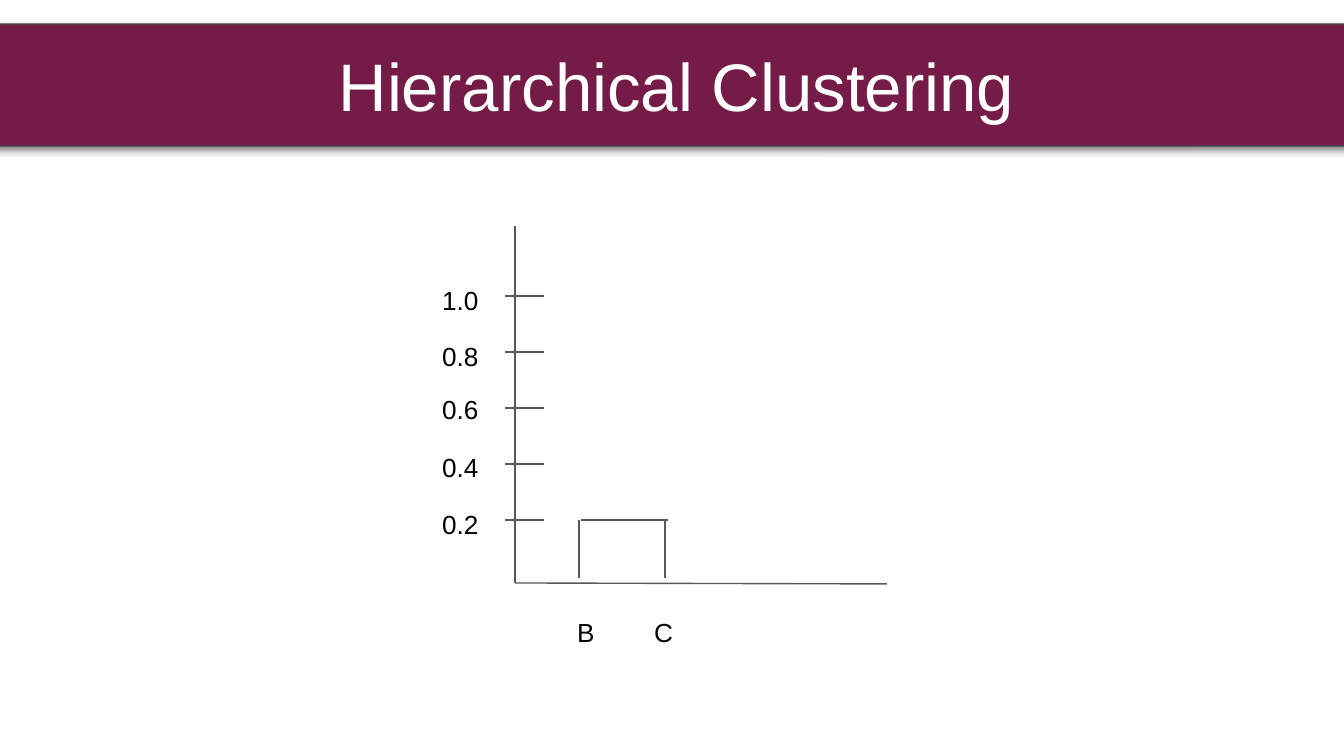
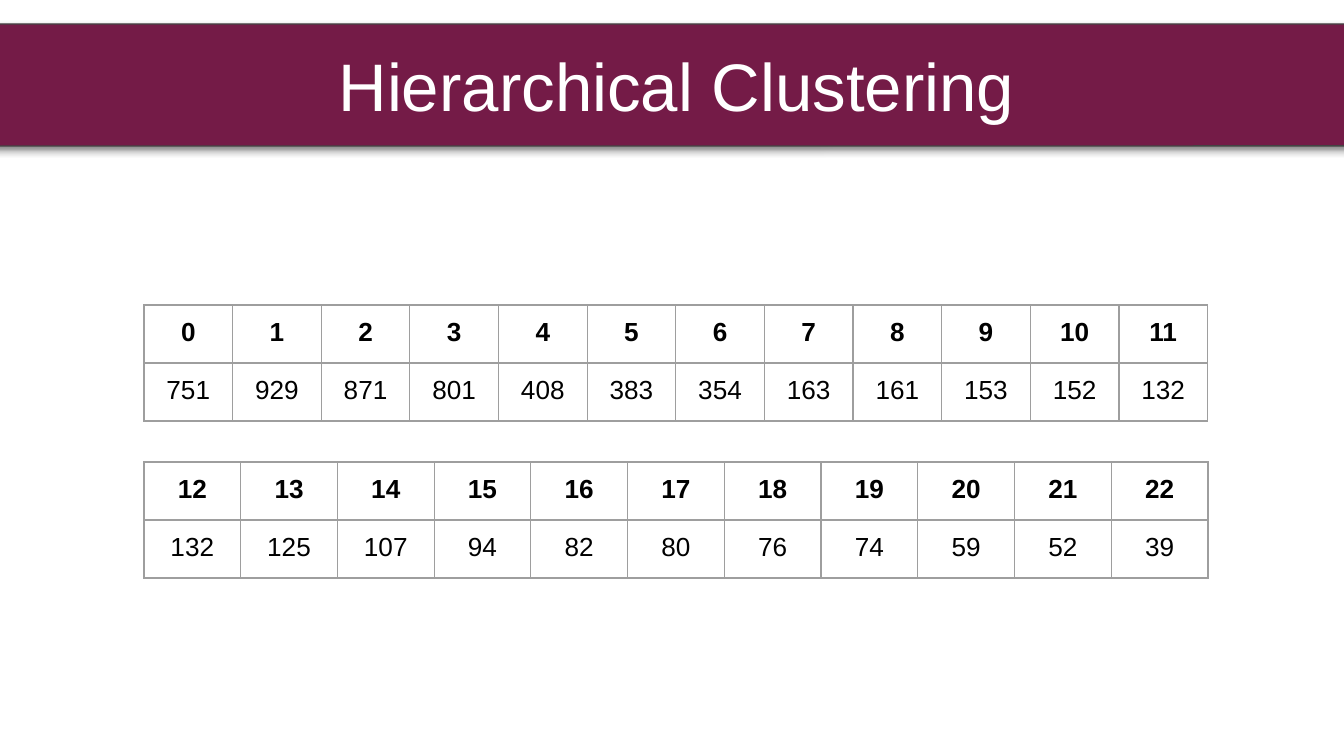
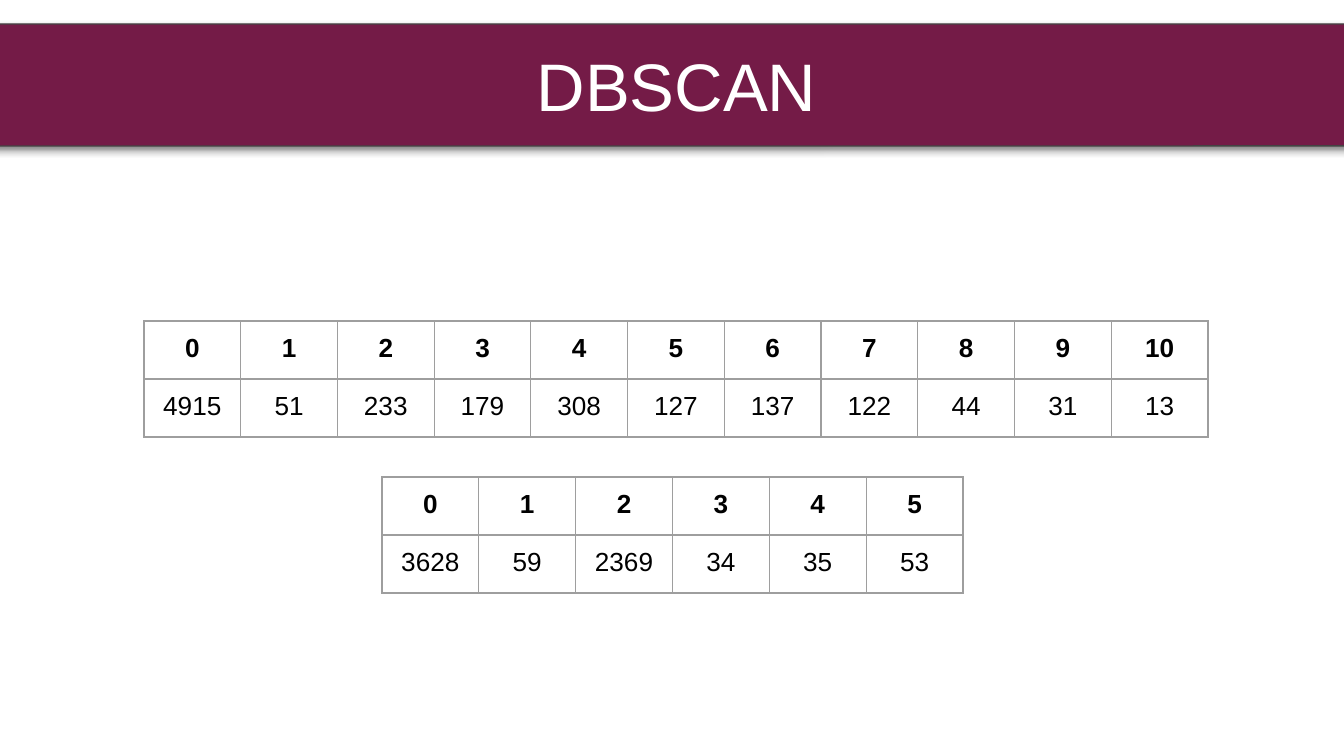
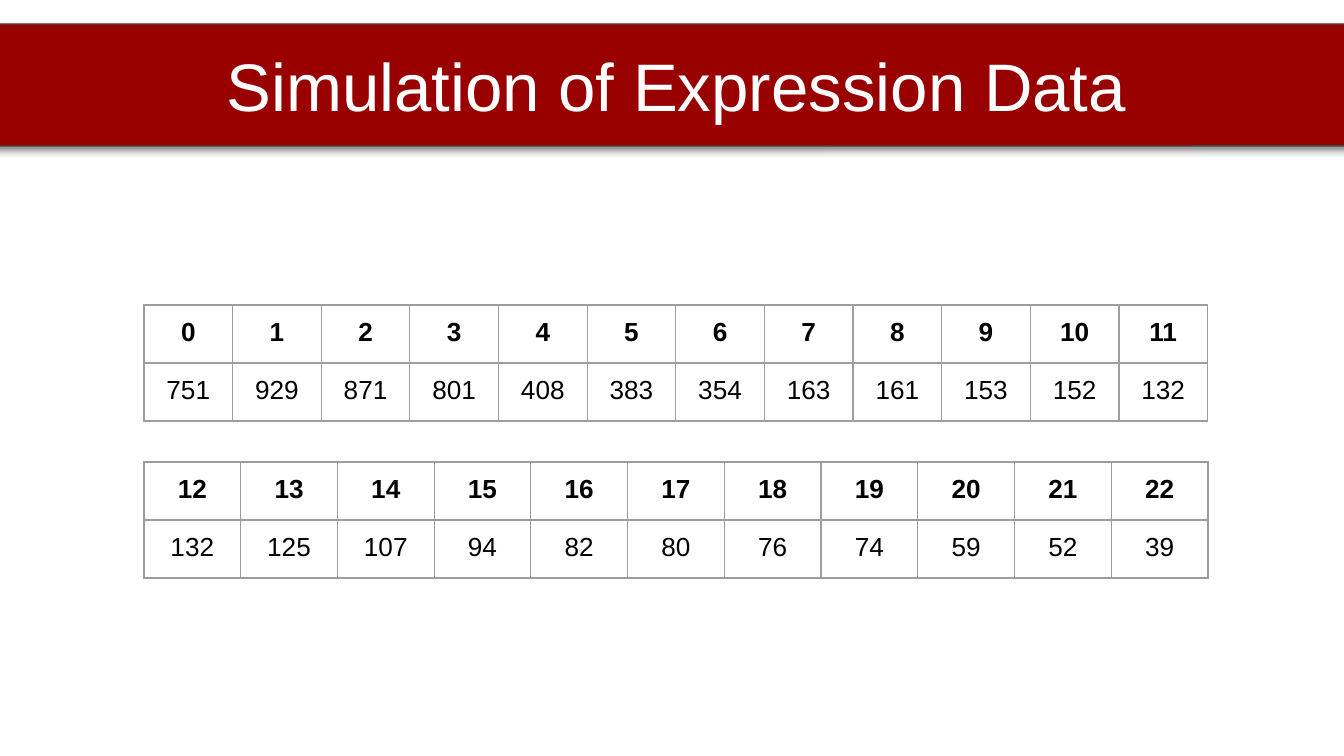
from lxml.etree import SubElement as Sub
from pptx import Presentation
from pptx.dml.color import RGBColor as RGB
from pptx.enum.shapes import MSO_CONNECTOR as Link, MSO_SHAPE as Shape
from pptx.enum.text import MSO_ANCHOR as Anchor, PP_ALIGN as Align
from pptx.oxml.ns import qn
from pptx.util import Inches, Pt

SCALE = Inches(10) / 1344
FONT = "Arial"
INSET = 13
ROW = 58
COLORS = {
    "plum": "741B47",
    "red": "990000",
    "edge": "434343",
    "axis": "595959",
    "grid": "9E9E9E",
    "ink": "000000",
    "white": "FFFFFF",
}
BAND = (-36, 24, 1425, 122)
PLOT = (515, 226, 372, 357)
TICKS = [("1.0", 45), ("0.8", 101), ("0.6", 154), ("0.4", 212), ("0.2", 269)]
SIZES = (
    (144, 305, 1064, [751, 929, 871, 801, 408, 383, 354, 163, 161, 153, 152, 132], 0),
    (144, 462, 1064, [132, 125, 107, 94, 82, 80, 76, 74, 59, 52, 39], 12),
)
SCANS = (
    (144, 321, 1064, [4915, 51, 233, 179, 308, 127, 137, 122, 44, 31, 13], 0),
    (382, 477, 581, [3628, 59, 2369, 34, 35, 53], 0),
)


def px(*nums):
    return [round(n * SCALE) for n in nums]


def tint(name):
    return RGB.from_string(COLORS[name])


def pad(part):
    inset = px(INSET)[0]
    part.margin_left = part.margin_right = inset
    part.margin_top = part.margin_bottom = inset


def write(frame, text, size=14, color="ink", bold=False, align=Align.LEFT):
    frame.word_wrap = True
    para = frame.paragraphs[0]
    para.alignment = align
    run = para.add_run()
    run.text = text
    font = run.font
    font.name, font.size, font.bold = FONT, Pt(size), bold
    font.color.rgb = tint(color)


def label(slide, box, text):
    frame = slide.shapes.add_textbox(*px(*box)).text_frame
    pad(frame)
    write(frame, text)


def rule(slide, *ends):
    line = slide.shapes.add_connector(Link.STRAIGHT, *px(*ends))
    line.line.color.rgb = tint("axis")
    line.line.width = Pt(0.75)
    Sub(line._element.spPr, qn("a:effectLst"))


def shade(shape):
    shape.shadow.inherit = False
    effects = shape._element.spPr.find(qn("a:effectLst"))
    drop = Sub(effects, qn("a:outerShdw"), blurRad=str(Pt(4.5)),
               dist=str(Pt(1.5)), dir="5400000", algn="bl", rotWithShape="0")
    color = Sub(drop, qn("a:srgbClr"), val=COLORS["ink"])
    Sub(color, qn("a:alpha"), val="50000")


def band(slide, box, title, fill):
    shape = slide.shapes.add_shape(Shape.ROUNDED_RECTANGLE, *px(*box))
    shape.fill.solid()
    shape.fill.fore_color.rgb = tint(fill)
    shape.line.color.rgb = tint("edge")
    shape.line.width = Pt(0.75)
    shade(shape)
    frame = shape.text_frame
    pad(frame)
    frame.vertical_anchor = Anchor.MIDDLE
    write(frame, title, 36, "white", align=Align.CENTER)


def plot(slide, box):
    x, y, w, h = box
    base = y + h
    rule(slide, x, y, x, base)
    rule(slide, x + w, base + 1, x, base)
    for i, (text, top) in enumerate(TICKS):
        level = y + 70 + 56 * i
        rule(slide, x - 10, level, x + 29, level)
        label(slide, (x - 86, y + top, 70, 50), text)
    for text, left, stem in (("B", 49, 64), ("C", 126, 150)):
        label(slide, (x + left, base + 20, 50, 50), text)
        rule(slide, x + stem, level, x + stem, base - 5)
    rule(slide, x + 66, level, x + 153, level)


def frame_cell(cell):
    props = cell._tc.get_or_add_tcPr()
    for side in "LRTB":
        edge = Sub(props, qn(f"a:ln{side}"), w=str(Pt(0.75)))
        fill = Sub(edge, qn("a:solidFill"))
        Sub(fill, qn("a:srgbClr"), val=COLORS["grid"])
    cell.fill.background()


def counts(slide, x, y, w, values, first):
    size = len(values)
    box = px(x, y, w, 2 * ROW)
    table = slide.shapes.add_table(2, size, *box).table
    table.first_row = table.horz_banding = False
    for col in table.columns:
        col.width = round(box[2] / size)
    for r, row in enumerate((range(first, first + size), values)):
        table.rows[r].height = px(ROW)[0]
        for c, value in enumerate(row):
            cell = table.cell(r, c)
            pad(cell)
            frame_cell(cell)
            write(cell.text_frame, str(value), bold=r == 0, align=Align.CENTER)


def page(deck, title, fill="plum", tables=()):
    slide = deck.slides.add_slide(deck.slide_layouts[6])
    band(slide, BAND, title, fill)
    for table in tables:
        counts(slide, *table)
    return slide


def main():
    deck = Presentation()
    deck.slide_width, deck.slide_height = px(1344, 756)
    plot(page(deck, "Hierarchical Clustering"), PLOT)
    page(deck, "Hierarchical Clustering", tables=SIZES)
    page(deck, "DBSCAN", tables=SCANS)
    page(deck, "Simulation of Expression Data", "red", SIZES)
    deck.save("out.pptx")


if __name__ == "__main__":
    main()
